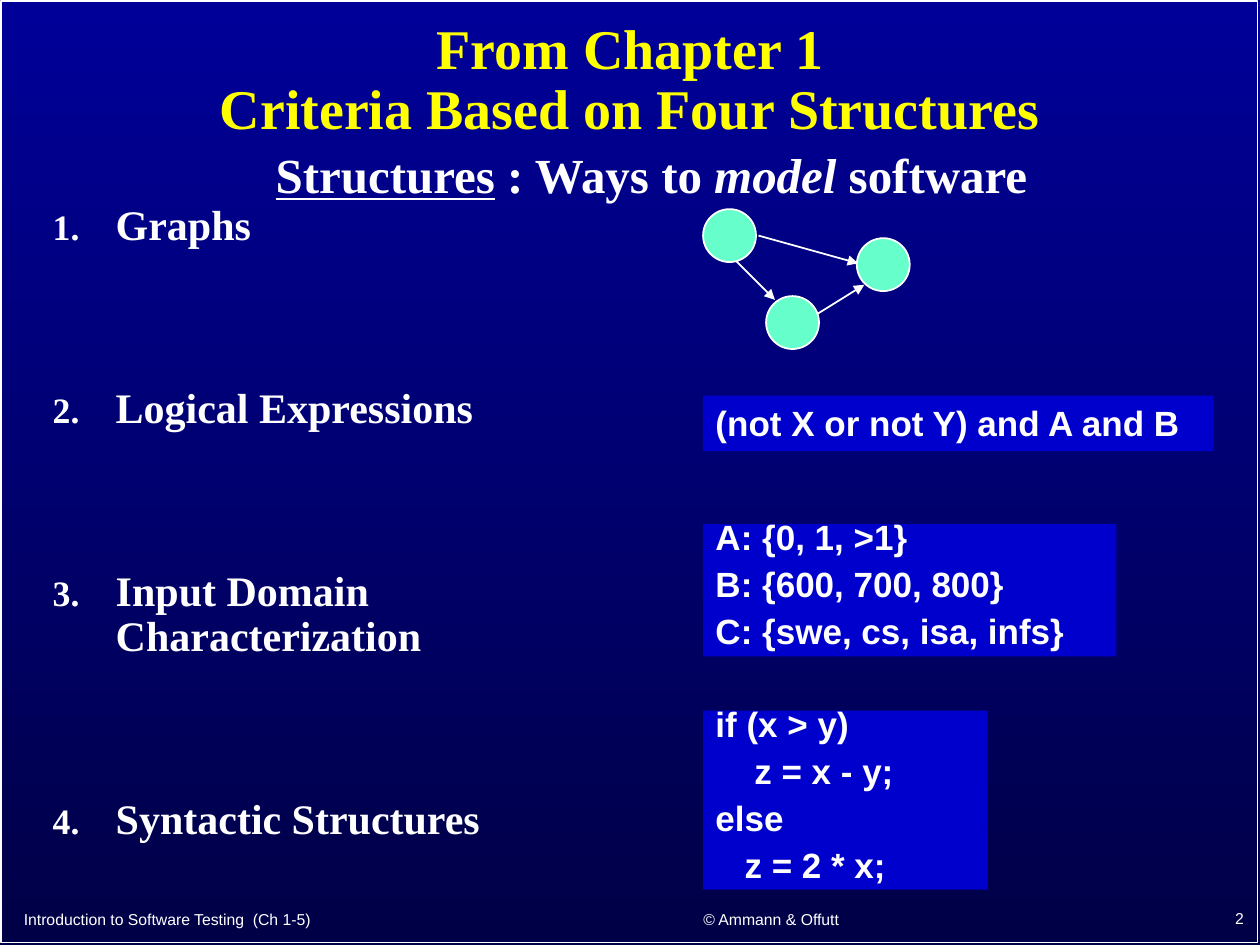
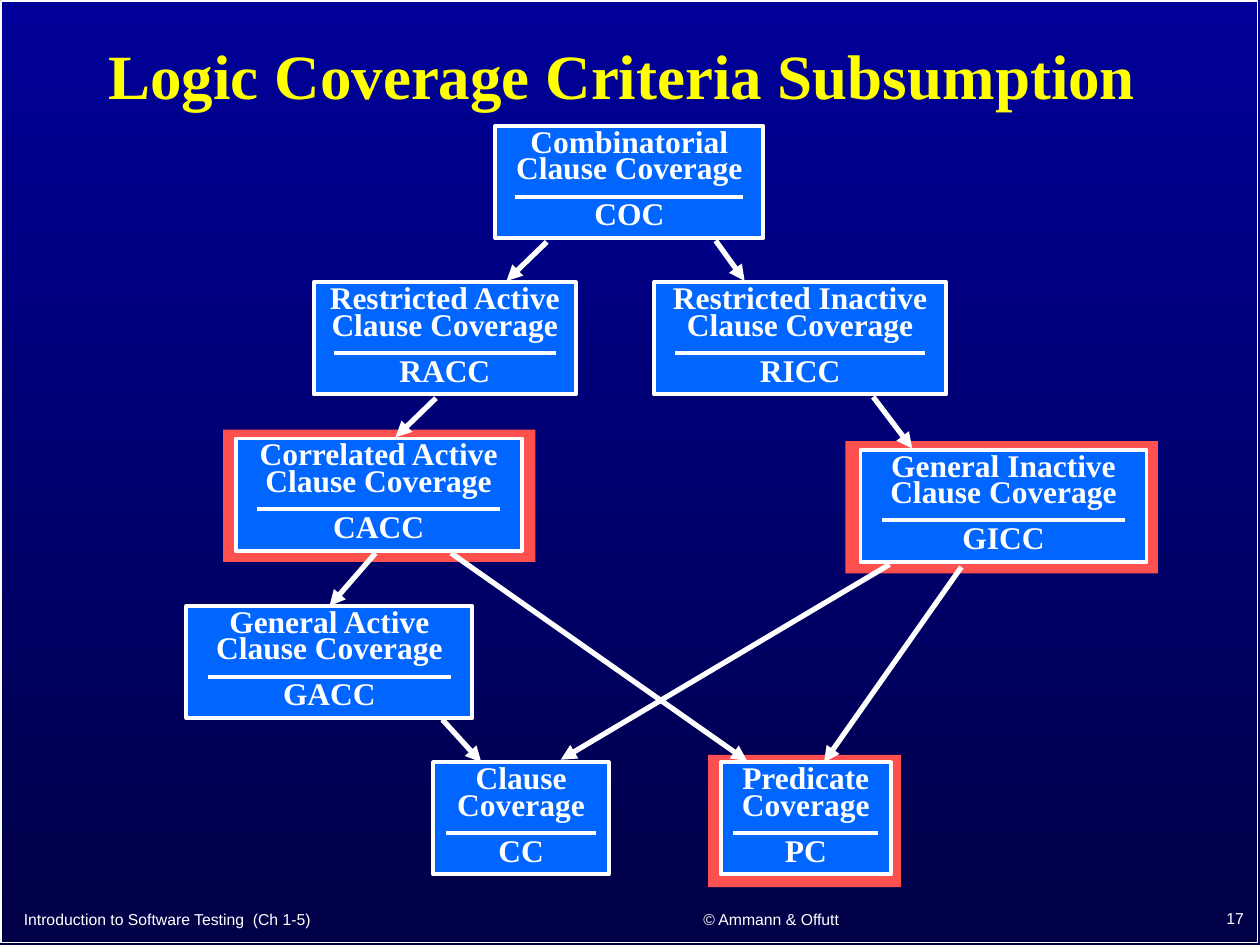
from dataclasses import dataclass

import pptx
import pptx.dml.color
import pptx.enum.shapes
import pptx.enum.text
import pptx.oxml.ns
import pptx.util
from lxml import etree

PX = 9144  # 100 px to the inch
KIND = pptx.enum.shapes.MSO_SHAPE
ALIGN = pptx.enum.text.PP_ALIGN
ANCHOR = pptx.enum.text.MSO_ANCHOR


@dataclass(frozen=True)
class Theme:
    top: str = "000099"
    base: str = "000047"
    white: str = "FFFFFF"
    yellow: str = "FFFF00"
    mint: str = "66FFCC"
    code: str = "0000CC"
    node: str = "0066FF"
    halo: str = "FF5050"
    serif: str = "Times New Roman"
    sans: str = "Arial"
    foot: int = 9
    label: int = 18
    mono: int = 20
    item: int = 24
    lead: int = 28


THEME = Theme()


def color(code):
    return pptx.dml.color.RGBColor.from_string(code)


def px(*nums):
    return [num * PX for num in nums]


def tag(parent, name, **attrs):
    return etree.SubElement(parent, pptx.oxml.ns.qn(name), **attrs)


def style(para, size, face, bold=True, ink=THEME.white):
    for run in para.runs:
        font = run.font
        font.size = pptx.util.Pt(size)
        font.name = face
        font.bold = bold
        font.color.rgb = color(ink)


def write(shape, lines, size, face, bold=True, align=ALIGN.LEFT,
          anchor=ANCHOR.TOP, pitch=1.0, gap=0, ink=THEME.white):
    """Fill a shape with paragraphs, with gap points between them."""
    frame = shape.text_frame
    frame.word_wrap = True
    frame.auto_size = pptx.enum.text.MSO_AUTO_SIZE.NONE
    frame.vertical_anchor = anchor
    frame.text = "\n".join(lines)
    for i, para in enumerate(frame.paragraphs):
        para.alignment = align
        para.line_spacing = pitch
        para.space_before = pptx.util.Pt(gap if i else 0)
        style(para, size, face, bold, ink)


def draw(slide, kind, box, fill=None, line=None):
    """Add a preset shape; line is the width of its white outline."""
    shape = slide.shapes.add_shape(kind, *px(*box))
    shape.shadow.inherit = False
    if fill:
        shape.fill.solid()
        shape.fill.fore_color.rgb = color(fill)
    else:
        shape.fill.background()
    if line:
        shape.line.color.rgb = color(THEME.white)
        shape.line.width = pptx.util.Pt(line)
    else:
        shape.line.fill.background()
    return shape


def rule(slide, ends, width, arrow=False):
    line = slide.shapes.add_connector(
        pptx.enum.shapes.MSO_CONNECTOR.STRAIGHT, *px(*ends))
    line.line.color.rgb = color(THEME.white)
    line.line.width = pptx.util.Pt(width)
    if arrow:
        tag(line.line._get_or_add_ln(), "a:tailEnd", type="triangle")
    tag(line._element.spPr, "a:effectLst")
    return line


def page(deck, title, box, size, number):
    """Add a slide with its frame, title and footers."""
    slide = deck.slides.add_slide(deck.slide_layouts[5])
    draw(slide, KIND.RECTANGLE, (1, 1, 997, 747), line=1)
    head = slide.shapes.title
    head.left, head.top, head.width, head.height = px(*box)
    write(head, [title], size, THEME.serif, align=ALIGN.CENTER,
          anchor=ANCHOR.MIDDLE, pitch=0.9, ink=THEME.yellow)
    feet = [
        ("Introduction to Software Testing  (Ch 1-5)", (9, 713, 428, 29), ALIGN.LEFT),
        ("© Ammann & Offutt", (453, 712, 318, 30), ALIGN.CENTER),
        (number, (789, 711, 208, 30), ALIGN.RIGHT),
    ]
    for text, spot, align in feet:
        write(slide.shapes.add_textbox(*px(*spot)), [text], THEME.foot,
              THEME.sans, bold=False, align=align, anchor=ANCHOR.BOTTOM)
    return slide


def lead(slide):
    box = slide.shapes.add_textbox(*px(113, 110, 808, 57))
    box.text_frame.word_wrap = True
    para = box.text_frame.paragraphs[0]
    para.alignment = ALIGN.CENTER
    for text in ("Structures", " : Ways to ", "model", " software"):
        run = para.add_run()
        run.text = text
        run.font.underline = text == "Structures"
        run.font.italic = text == "model"
    style(para, THEME.lead, THEME.serif)


def outline(slide, items):
    box = slide.shapes.add_textbox(*px(32, 157, 508, 549))
    write(box, items, THEME.item, THEME.serif, pitch=0.9, gap=78.7)
    for para in box.text_frame.paragraphs:
        props = para._p.get_or_add_pPr()
        props.set("marL", str(50 * PX))
        props.set("indent", str(-50 * PX))
        tag(props, "a:buSzPct", val="85000")
        tag(props, "a:buAutoNum", type="arabicPeriod")


def sample(slide, box, lines):
    shape = draw(slide, KIND.RECTANGLE, box, THEME.code)
    write(shape, lines, THEME.mono, THEME.sans,
          pitch=0.6 if len(lines) > 1 else 1.0, gap=12.5)


def graph(slide):
    for left, top in [(558, 166), (680, 189), (608, 235)]:
        draw(slide, KIND.OVAL, (left, top, 42, 42), THEME.mint, 1)
    for ends in [(602, 187, 681, 209), (584, 207, 615, 238), (649, 249, 686, 226)]:
        rule(slide, ends, 1, arrow=True)


def node(slide, left, top, width, name, short):
    """Draw a criterion: its name above a rule, its short form below."""
    shape = draw(slide, KIND.RECTANGLE, (left, top, width, 89), THEME.node, 2.25)
    write(shape, [name, short], THEME.label, THEME.serif,
          align=ALIGN.CENTER, pitch=0.7, gap=11.2)
    inset = round(width * 0.075)
    rule(slide, (left + inset, top + 56, left + width - inset, top + 56), 2.25)
    return shape


def models(deck):
    slide = page(deck, "From Chapter 1\vCriteria Based on Four Structures",
                 (75, 7, 850, 115), 32, "2")
    outline(slide, ["Graphs", "Logical Expressions",
                    "Input Domain Characterization", "Syntactic Structures"])
    graph(slide)
    sample(slide, (558, 314, 405, 44), ["(not X or not Y) and A and B"])
    sample(slide, (558, 416, 328, 105),
           ["A: {0, 1, >1}", "B: {600, 700, 800}", "C: {swe, cs, isa, infs}"])
    sample(slide, (558, 564, 226, 142),
           ["if (x > y)", "    z = x - y;", "else", "   z = 2 * x;"])
    lead(slide)


def subsume(deck):
    slide = page(deck, "Logic Coverage Criteria Subsumption ",
                 (65, 11, 870, 103), 36, "17")
    for left, top, width in [(671, 350, 248), (177, 341, 248), (562, 599, 153)]:
        draw(slide, KIND.RECTANGLE, (left, top, width, 105), THEME.halo)
    specs = [
        (393, 100, 213, "Combinatorial Clause Coverage", "COC"),
        (249, 224, 208, "Restricted Active Clause Coverage", "RACC"),
        (519, 224, 232, "Restricted Inactive Clause Coverage", "RICC"),
        (187, 348, 227, "Correlated Active Clause Coverage", "CACC"),
        (683, 357, 227, "General Inactive Clause Coverage", "GICC"),
        (148, 481, 227, "General Active Clause Coverage", "GACC"),
        (344, 605, 139, "Clause Coverage", "CC"),
        (572, 605, 135, "Predicate Coverage", "PC"),
    ]
    nodes = {spec[-1]: node(slide, *spec) for spec in specs}
    arrows = [
        (434, 192, 402, 223),  # COC to RACC
        (568, 191, 591, 223),  # COC to RICC
        (346, 316, 314, 347),  # RACC to CACC
        (693, 315, 724, 356),  # RICC to GICC
        (358, 439, 593, 604),  # CACC to PC
        (351, 571, 382, 605),  # GACC to CC
        (706, 448, 445, 603),  # GICC to CC
        (763, 450, 654, 605),  # GICC to PC
    ]
    for ends in arrows:
        rule(slide, ends, 3, arrow=True)
    down = rule(slide, (298, 439, 264, 479), 3, arrow=True)
    down.end_connect(nodes["GACC"], 0)


def main():
    deck = pptx.Presentation()
    deck.slide_width, deck.slide_height = px(1000, 750)
    fill = deck.slide_master.background.fill
    fill.gradient()
    fill.gradient_angle = 270
    for stop, code, spot in zip(fill.gradient_stops, (THEME.top, THEME.base), (0, 1)):
        stop.color.rgb = color(code)
        stop.position = spot
    models(deck)
    subsume(deck)
    deck.save("out.pptx")


if __name__ == "__main__":
    main()
